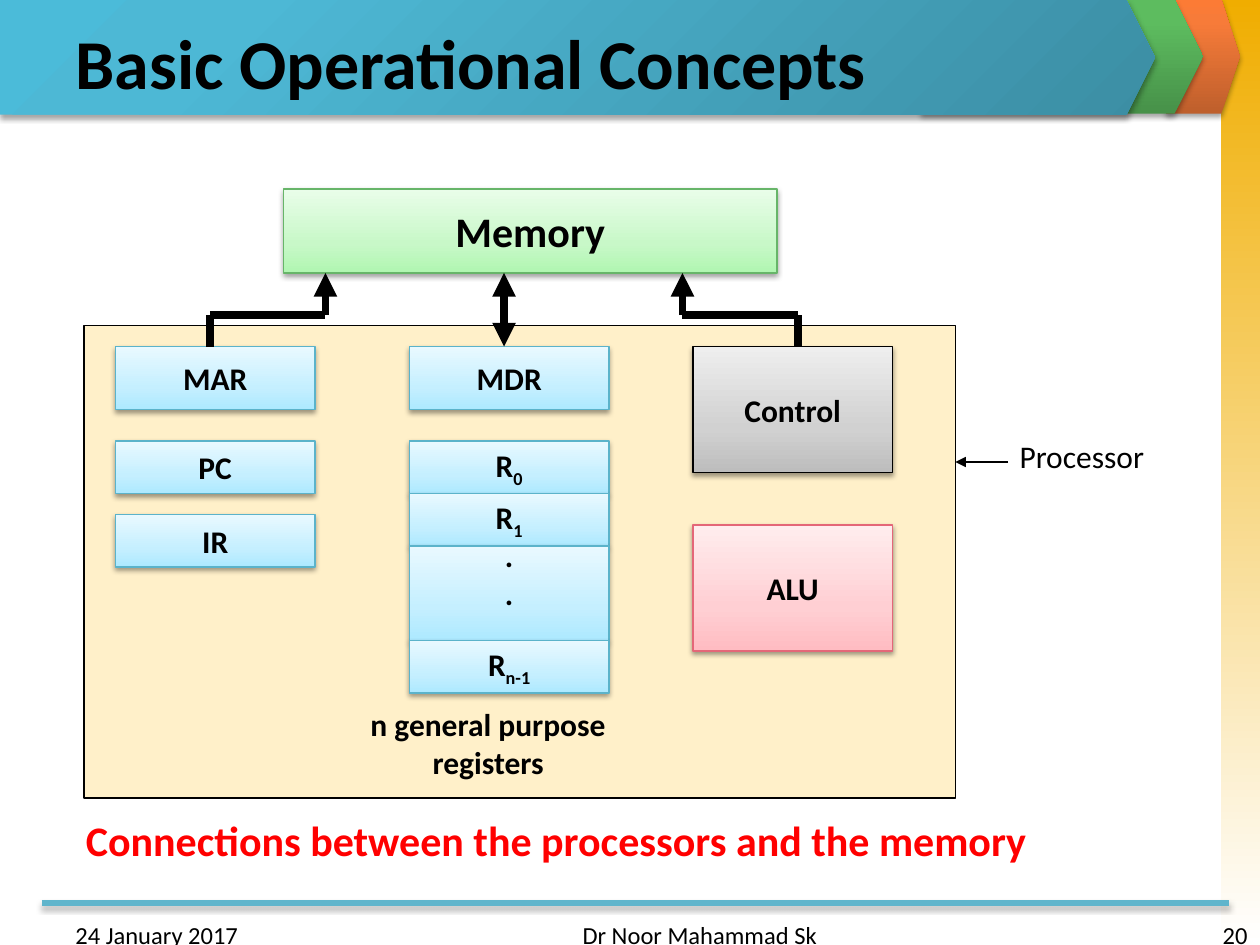
from itertools import pairwise

from lxml.etree import SubElement
from pptx import Presentation
from pptx.dml.color import RGBColor
from pptx.enum.shapes import MSO_CONNECTOR, MSO_SHAPE
from pptx.enum.text import MSO_ANCHOR, MSO_AUTO_SIZE, PP_ALIGN
from pptx.oxml import parse_xml
from pptx.oxml.ns import nsdecls, qn
from pptx.util import Pt

COLORS = {"black": "000000", "red": "FF0000", "cream": "FFF0C9", "rule": "60B5CC"}
GRADIENTS = {
    "band": {0: "F0AD00", 100: "FFFFFF"},
    "orange": {0: "BE5F2C", 80: "F77B39", 100: "FC7B35"},
    "leaf": {0: "479149", 80: "5DBC5F", 100: "5BBF5E"},
    "teal": {0: "3C8EA4", 80: "4DB8D5", 100: "4BBBD9"},
    "green": {0: "B0F6B1", 35: "C8F8C8", 100: "E9FDE9"},
    "blue": {0: "ADE9FF", 35: "C5EFFF", 100: "E9F9FF"},
    "grey": {0: "BDBDBD", 35: "D1D1D1", 100: "EEEEEE"},
    "pink": {0: "FFBCC2", 35: "FFCFD3", 100: "FFEDEE"},
}
OUTLINES = {"green": "67B569", "blue": "5BB3CA", "grey": "000000", "pink": "E46778"}
UPWARD = '<a:lin ang="16200000" scaled="0"/>'
DOWNWARD = '<a:lin ang="5400000" scaled="0"/>'
RADIAL = '<a:path path="circle"><a:fillToRect l="100000" t="100000"/></a:path>'
COLUMNS = (66, 234, 396)
COL_W = 114


def set_effects(sp, alpha=0, dist=1.8):
    """Give a shape or connector a soft drop shadow, or none when alpha is 0."""
    shadow = (
        f'<a:outerShdw blurRad="{Pt(3.1)}" dist="{Pt(dist)}" dir="5400000" rotWithShape="0">'
        f'<a:srgbClr val="000000"><a:alpha val="{alpha * 1000}"/></a:srgbClr></a:outerShdw>'
    ) if alpha else ""
    sp._element.spPr.append(parse_xml(f'<a:effectLst {nsdecls("a")}>{shadow}</a:effectLst>'))


def set_gradient(sp, name, direction):
    """Fill a shape with a named gradient."""
    sp.fill.background()
    stops = "".join(
        f'<a:gs pos="{pos * 1000}"><a:srgbClr val="{color}"/></a:gs>'
        for pos, color in GRADIENTS[name].items()
    )
    spPr = sp._element.spPr
    spPr.replace(spPr.find(qn("a:noFill")), parse_xml(
        f'<a:gradFill {nsdecls("a")} rotWithShape="1"><a:gsLst>{stops}</a:gsLst>{direction}</a:gradFill>'
    ))


def set_line(line, color, width):
    """Set the colour and width of a line."""
    line.color.rgb = RGBColor.from_string(color)
    line.width = Pt(width)


def write(sp, lines, size, color="black", bold=True, align=PP_ALIGN.LEFT, **frame):
    """Write lines of text, each a string or a (base, subscript) pair."""
    tf = sp.text_frame
    for name, value in frame.items():
        setattr(tf, name, value)
    for i, line in enumerate(lines):
        p = tf.paragraphs[0] if i == 0 else tf.add_paragraph()
        p.alignment = align
        for j, text in enumerate((line,) if isinstance(line, str) else line):
            r = p.add_run()
            r.text = text
            for name, value in {"name": "Calibri", "size": Pt(size), "bold": bold}.items():
                setattr(r.font, name, value)
            r.font.color.rgb = RGBColor.from_string(COLORS[color])
            if j:
                r.font._element.set("baseline", "-25000")


def add_decor(s, kind, box, gradient, direction, alpha=35):
    """Add a borderless gradient piece of the page frame."""
    sp = s.shapes.add_shape(kind, *map(Pt, box))
    if kind == MSO_SHAPE.PENTAGON:
        sp.adjustments[0] = 0.25
    set_gradient(sp, gradient, direction)
    sp.line.fill.background()
    set_effects(sp, alpha)


def add_block(s, box, theme, *lines, size=18, **frame):
    """Add a labelled hardware block."""
    sp = s.shapes.add_shape(MSO_SHAPE.RECTANGLE, *map(Pt, box))
    set_gradient(sp, theme, UPWARD)
    set_line(sp.line, OUTLINES[theme], 0.75)
    set_effects(sp, 38, 1.6)
    write(sp, lines, size, align=PP_ALIGN.CENTER, word_wrap=False,
          vertical_anchor=MSO_ANCHOR.MIDDLE, **frame)


def add_line(s, start, end, color="black", width=4.5, arrows=(), alpha=0):
    """Add a straight line with arrowheads at the named ends."""
    cx = s.shapes.add_connector(MSO_CONNECTOR.STRAIGHT, *map(Pt, (*start, *end)))
    set_line(cx.line, COLORS[color], width)
    for arrow in arrows:
        SubElement(cx.line._get_or_add_ln(), qn(f"a:{arrow}")).set("type", "triangle")
    set_effects(cx, alpha)


def add_route(s, *points):
    """Add a bent line that ends in an arrowhead."""
    for start, end in pairwise(points):
        add_line(s, start, end, arrows=("tailEnd",) if end == points[-1] else ())


def add_label(s, box, *lines, size=18, wrap=True, **style):
    """Add a text box."""
    write(s.shapes.add_textbox(*map(Pt, box)), lines, size, word_wrap=wrap, **style)


def add_frame(s):
    """Add the side band, header arrows and footer rule."""
    add_decor(s, MSO_SHAPE.RECTANGLE, (697.5, 0, 22.5, 540), "band", DOWNWARD, 0)
    add_decor(s, MSO_SHAPE.PENTAGON, (666, -0.5, 42.5, 65.5), "orange", UPWARD)
    add_decor(s, MSO_SHAPE.PENTAGON, (526.5, -0.5, 161, 65.5), "leaf", UPWARD)
    add_line(s, (24, 516), (702, 516), "rule", 3, alpha=35)
    add_decor(s, MSO_SHAPE.PENTAGON, (0, 0, 660, 65.5), "teal", RADIAL)


def add_title(s, text):
    """Place the title over the header."""
    sp = s.shapes.title
    box = {"left": 36, "top": 10, "width": 648, "height": 50}
    for name, value in box.items():
        setattr(sp, name, Pt(value))
    write(sp, [text], 40, vertical_anchor=MSO_ANCHOR.MIDDLE, auto_size=MSO_AUTO_SIZE.NONE)
    s.shapes._spTree.append(sp._element)


def add_processor(s):
    """Add the processor panel, its blocks and the memory."""
    panel = s.shapes.add_shape(MSO_SHAPE.RECTANGLE, Pt(48), Pt(186), Pt(498), Pt(270))
    panel.fill.solid()
    panel.fill.fore_color.rgb = RGBColor.from_string(COLORS["cream"])
    set_line(panel.line, COLORS["black"], 0.75)
    set_effects(panel)
    add_block(s, (162, 108, 282, 48), "green", "Memory", size=24)
    blocks = (
        (0, 198, 36, "blue", "MAR"),
        (0, 252, 30, "blue", "PC"),
        (0, 294, 30, "blue", "IR"),
        (1, 198, 36, "blue", "MDR"),
        (1, 252, 30, "blue", ("R", "0")),
        (1, 282, 30, "blue", ("R", "1")),
    )
    for col, top, height, theme, text in blocks:
        add_block(s, (COLUMNS[col], top, COL_W, height), theme, text)
    add_block(s, (COLUMNS[1], 312, COL_W, 54), "blue", ".", ".", margin_bottom=Pt(25.6))
    add_block(s, (COLUMNS[1], 366, COL_W, 30), "blue", ("R", "n-1"))
    add_block(s, (COLUMNS[2], 198, COL_W, 72), "grey", "Control")
    add_block(s, (COLUMNS[2], 300, COL_W, 72), "pink", "ALU")


def main():
    """Build the slide and save it."""
    prs = Presentation()
    prs.slide_width, prs.slide_height = Pt(720), Pt(540)
    s = prs.slides.add_slide(prs.slide_layouts[5])
    add_frame(s)
    add_title(s, "Basic Operational Concepts")
    add_processor(s)
    add_route(s, (120, 198), (120, 180), (186, 180), (186, 156))
    add_line(s, (288, 198), (288, 156), arrows=("headEnd", "tailEnd"))
    add_route(s, (456, 198), (456, 180), (390, 180), (390, 156))
    add_label(s, (192, 399.5, 174, 50.5), "n general purpose", "registers", align=PP_ALIGN.CENTER)
    add_line(s, (576, 264), (546, 264), width=0.75, arrows=("tailEnd",))
    add_label(s, (575.5, 246, 90.5, 29), "Processor", bold=False, wrap=False)
    add_label(s, (42, 462, 575, 36), "Connections between the processors and the memory",
              size=24, color="red", wrap=False)
    footers = (
        (36, 168, "24 January 2017", PP_ALIGN.LEFT),
        (552, 168, "20", PP_ALIGN.RIGHT),
        (246, 228, "Dr Noor Mahammad Sk", PP_ALIGN.RIGHT),
    )
    for left, width, text, align in footers:
        add_label(s, (left, 522, width, 18), text, size=14, bold=False, align=align)
    prs.save("out.pptx")


if __name__ == "__main__":
    main()
